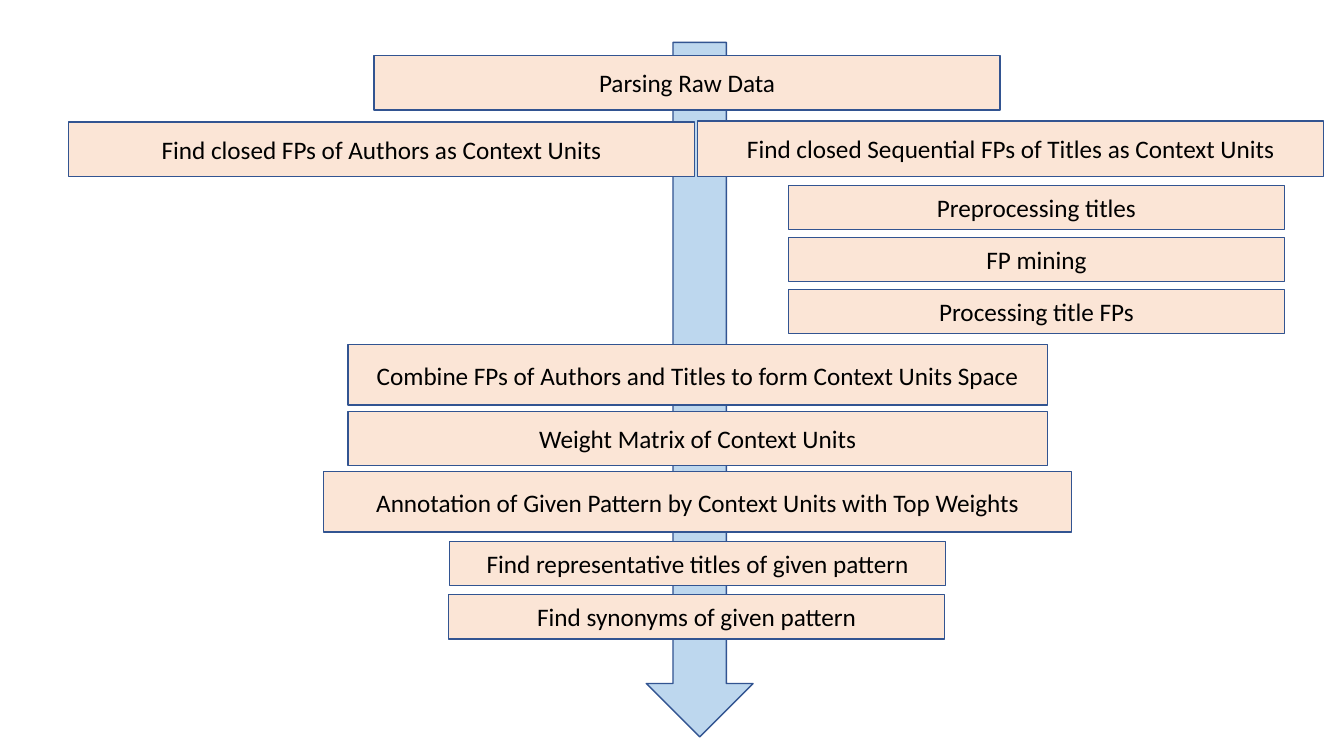
from pptx import Presentation
from pptx.dml.color import RGBColor
from pptx.enum.shapes import MSO_SHAPE
from pptx.enum.text import MSO_ANCHOR, PP_ALIGN
from pptx.util import Inches, Pt

DOWN_ARROW = MSO_SHAPE.DOWN_ARROW
RECTANGLE = MSO_SHAPE.RECTANGLE
MIDDLE = MSO_ANCHOR.MIDDLE
CENTER = PP_ALIGN.CENTER

PEACH = RGBColor(0xFB, 0xE5, 0xD6)
LIGHT_BLUE = RGBColor(0xBD, 0xD7, 0xEE)
OUTLINE_BLUE = RGBColor(0x32, 0x54, 0x91)
BLACK = RGBColor(0, 0, 0)

STAGE_WIDTH, STAGE_HEIGHT = 6.21, 0.54
SUBSTEP_WIDTH, SUBSTEP_HEIGHT = 4.92, 0.44
CONTEXT_LEFT, CONTEXT_WIDTH = 3.45, 6.94

STAGES = [
    ("Parsing Raw Data", 3.71, 0.55, STAGE_WIDTH, STAGE_HEIGHT),
    ("Find closed FPs of Authors as Context Units", 0.68, 1.21, STAGE_WIDTH, STAGE_HEIGHT),
    ("Find closed Sequential FPs of Titles as Context Units", 6.92, 1.2, STAGE_WIDTH, 0.55),
    ("Combine FPs of Authors and Titles to form Context Units Space",
     CONTEXT_LEFT, 3.42, CONTEXT_WIDTH, 0.6),
    ("Weight Matrix of Context Units", CONTEXT_LEFT, 4.08, CONTEXT_WIDTH, STAGE_HEIGHT),
    ("Annotation of Given Pattern by Context Units with Top Weights", 3.21, 4.68, 7.42, 0.6),
    ("Find representative titles of given pattern", 4.46, 5.37, SUBSTEP_WIDTH, SUBSTEP_HEIGHT),
    ("Find synonyms of given pattern", 4.45, 5.9, SUBSTEP_WIDTH, SUBSTEP_HEIGHT),
]

TITLE_SUBSTEPS = ["Preprocessing titles", "FP mining", "Processing title FPs"]
SUBSTEP_LEFT, SUBSTEP_TOP, SUBSTEP_PITCH = 7.82, 1.84, 0.515


class FlowSlide:
    """Holds the slide and the shared style of the process flow."""

    font_name = "Calibri"
    font_size = Pt(18)
    line_width = Pt(1)

    def __init__(self, slide):
        self.slide = slide

    def outlined_shape(self, preset, fill, left, top, width, height):
        shape = self.slide.shapes.add_shape(
            preset, Inches(left), Inches(top), Inches(width), Inches(height))
        shape.shadow.inherit = False
        shape.fill.solid()
        shape.fill.fore_color.rgb = fill
        shape.line.color.rgb = OUTLINE_BLUE
        shape.line.width = self.line_width
        return shape

    def flow_arrow(self, left, top, width, height):
        return self.outlined_shape(DOWN_ARROW, LIGHT_BLUE, left, top, width, height)

    def step(self, text, left, top, width, height):
        box = self.outlined_shape(RECTANGLE, PEACH, left, top, width, height)
        frame = box.text_frame
        frame.word_wrap = True
        frame.vertical_anchor = MIDDLE
        paragraph = frame.paragraphs[0]
        paragraph.text = text
        paragraph.alignment = CENTER
        paragraph.font.name = self.font_name
        paragraph.font.size = self.font_size
        paragraph.font.color.rgb = BLACK
        return box


def main():
    presentation = Presentation()
    presentation.slide_width = Inches(13.33)
    presentation.slide_height = Inches(7.5)
    blank_layout = presentation.slide_layouts[6]
    flow = FlowSlide(presentation.slides.add_slide(blank_layout))

    flow.flow_arrow(6.41, 0.42, 1.06, 6.89)
    for stage in STAGES:
        flow.step(*stage)
    for row, substep in enumerate(TITLE_SUBSTEPS):
        flow.step(substep, SUBSTEP_LEFT, SUBSTEP_TOP + row * SUBSTEP_PITCH,
                  SUBSTEP_WIDTH, SUBSTEP_HEIGHT)

    presentation.save("out.pptx")


if __name__ == "__main__":
    main()
